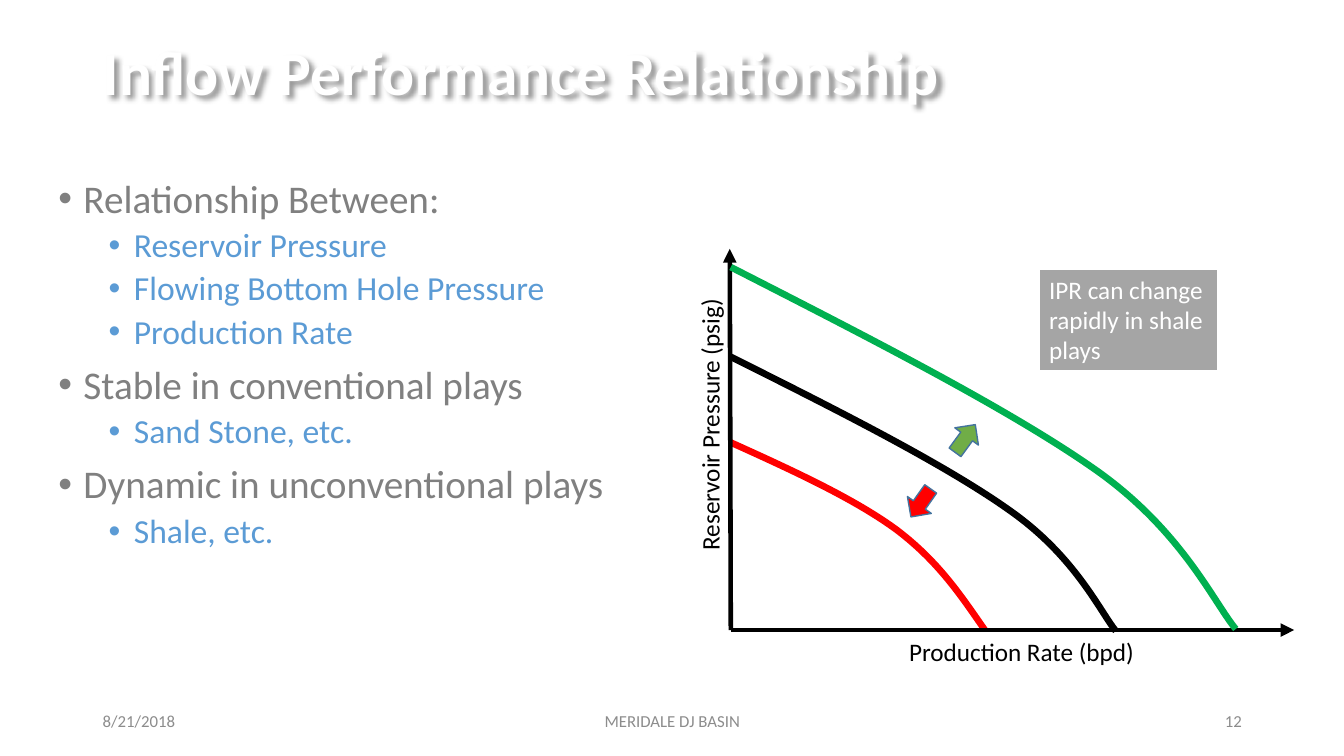
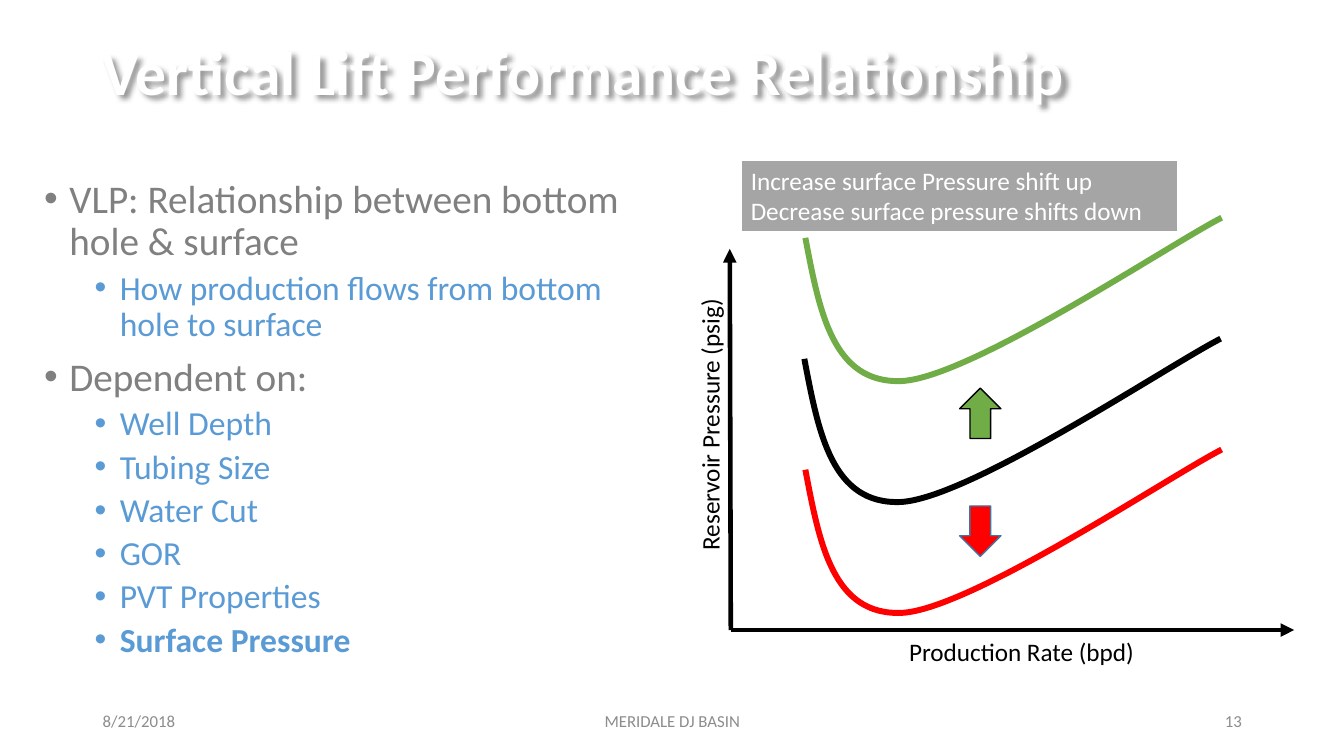
from lxml.etree import SubElement
from pptx import Presentation
from pptx.dml.color import RGBColor
from pptx.enum.shapes import MSO_CONNECTOR, MSO_SHAPE
from pptx.enum.text import MSO_ANCHOR, PP_ALIGN
from pptx.oxml import parse_xml
from pptx.oxml.ns import nsdecls, qn
from pptx.util import Inches, Pt

WHITE = RGBColor(0xFF, 0xFF, 0xFF)
BLACK = RGBColor(0x00, 0x00, 0x00)
GRAY = RGBColor(0x80, 0x80, 0x80)
FOOTER_GRAY = RGBColor(0x8C, 0x8C, 0x8C)
NOTE_GRAY = RGBColor(0xA5, 0xA5, 0xA5)
BLUE = RGBColor(0x5B, 0x9B, 0xD5)
OUTLINE_BLUE = RGBColor(0x43, 0x73, 0x9E)
RED = RGBColor(0xFF, 0x00, 0x00)
GREEN = RGBColor(0x70, 0xAD, 0x47)
BRIGHT_GREEN = RGBColor(0x00, 0xB0, 0x50)

SLIDE_HEIGHT = 7.5
SLIDE_WIDTH = SLIDE_HEIGHT * 16 / 9

TITLE_STYLE = {"size": Pt(44), "bold": True}
FOOTER_STYLE = {"size": Pt(12)}
LABEL_STYLE = {"size": Pt(18)}
LEVELS = [
    {"color": GRAY, "size": 28, "before": 10, "margin": 0.25},
    {"color": BLUE, "size": 24, "before": 5, "margin": 0.75},
]
HANGING = 0.25
LINE_SPACING = 0.9

TITLE_PLACE = (0.92, 0.24, 11.5, 1.01)
FOOTER_TOP, FOOTER_HEIGHT = 6.95, 0.4
ORIGIN = (7.25, 6.25)
AXIS_ENDS = [(7.24, 2.47), (12.84, 6.25)]
AXIS_LABELS = [
    ("Reservoir Pressure (psig)", (5.65, 3.97, 2.78, 0.4), 270),
    ("Production Rate (bpd)", (8.92, 6.26, 2.78, 0.4), 0),
]

LIFT_CURVE = [(7.98, 3.56), (8.12, 4.29), (8.25, 5.01), (8.94, 4.98),
              (9.63, 4.94), (11.6, 3.62), (12.11, 3.36)]
LIFT_SHIFTS = [(0, 0, BLACK), (0.01, -1.2, GREEN), (0.01, 1.1, RED)]

PAGES = [
    {
        "title": "Inflow Performance Relationship",
        "number": "12",
        "body_place": (0.48, 1.73, 5.69, 5.03),
        "body": [
            (0, "Relationship Between:"),
            (1, "Reservoir Pressure"),
            (1, "Flowing Bottom Hole Pressure"),
            (1, "Production Rate"),
            (0, "Stable in conventional plays"),
            (1, "Sand Stone, etc."),
            (0, "Dynamic in unconventional plays"),
            (1, "Shale, etc."),
        ],
        "curve_width": 4.75,
        "curves_under_axes": [
            (BLACK, [(7.25, 3.54), (8.33, 4.08), (9.4, 4.62), (10.04, 5.08),
                     (10.67, 5.53), (10.91, 6.06), (11.07, 6.26)]),
            (RED, [(7.25, 4.39), (7.87, 4.67), (8.48, 4.95), (8.9, 5.26),
                   (9.32, 5.58), (9.54, 5.92), (9.77, 6.25)]),
        ],
        "curves_over_axes": [
            (BRIGHT_GREEN, [(7.25, 2.65), (8.66, 3.37), (10.07, 4.09), (10.91, 4.69),
                            (11.74, 5.29), (12.05, 5.99), (12.26, 6.24)]),
        ],
        "arrows": [
            ((8.99, 4.82, 0.29, 0.34), 35.2, RED, OUTLINE_BLUE),
            ((9.43, 4.18, 0.29, 0.34), 216.2, GREEN, OUTLINE_BLUE),
        ],
        "note_place": (10.31, 2.67, 1.77, 1.01),
        "note": ["IPR can change rapidly in shale plays"],
    },
    {
        "title": "Vertical Lift Performance Relationship",
        "number": "13",
        "body_place": (0.34, 1.73, 6.1, 5.03),
        "body": [
            (0, "VLP: Relationship between bottom hole & surface"),
            (1, "How production flows from bottom hole to surface"),
            (0, "Dependent on:"),
            (1, "Well Depth"),
            (1, "Tubing Size"),
            (1, "Water Cut"),
            (1, "GOR"),
            (1, "PVT Properties"),
            (1, "Surface Pressure"),
        ],
        "bold": "Surface Pressure",
        "curve_width": 4.25,
        "curves_under_axes": [],
        "curves_over_axes": [(color, [(x + right, y + down) for x, y in LIFT_CURVE])
                             for right, down, color in LIFT_SHIFTS],
        "arrows": [
            ((9.52, 5.02, 0.41, 0.5), 0, RED, OUTLINE_BLUE),
            ((9.52, 3.85, 0.41, 0.5), 180, GREEN, BLACK),
        ],
        "note_place": (7.35, 1.59, 4.34, 0.71),
        "note": ["Increase surface Pressure shift up",
                 "Decrease surface pressure shifts down"],
    },
]


def inches(values):
    return [Inches(value) for value in values]


def set_line(line, color, width):
    line.color.rgb = color
    line.width = Pt(width)


def write(para, text, color, style):
    span = para.add_run()
    span.text = text
    for name, value in {"name": "Calibri", **style}.items():
        setattr(span.font, name, value)
    span.font.color.rgb = color


def add_text(page, place, lines, color, style, anchor=MSO_ANCHOR.TOP, align=PP_ALIGN.LEFT):
    box = page.shapes.add_textbox(*inches(place))
    frame = box.text_frame
    frame.word_wrap = True
    frame.vertical_anchor = anchor
    for index, line in enumerate(lines):
        para = frame.add_paragraph() if index else frame.paragraphs[0]
        para.alignment = align
        write(para, line, color, style)
    return box


def add_title(page, text):
    box = add_text(page, TITLE_PLACE, [text], WHITE, TITLE_STYLE, MSO_ANCHOR.MIDDLE)
    box.text_frame.paragraphs[0].line_spacing = LINE_SPACING
    box.element.spPr.append(parse_xml(
        f'<a:effectLst {nsdecls("a")}>'
        '<a:outerShdw blurRad="50800" dist="38100" dir="2700000" algn="tl" rotWithShape="0">'
        '<a:prstClr val="black"><a:alpha val="40000"/></a:prstClr>'
        '</a:outerShdw></a:effectLst>'))


def add_body(page, place, items, bold):
    frame = page.shapes.add_textbox(*inches(place)).text_frame
    frame.word_wrap = True
    for index, (level, text) in enumerate(items):
        para = frame.add_paragraph() if index else frame.paragraphs[0]
        look = LEVELS[level]
        properties = para._p.get_or_add_pPr()
        properties.set("marL", str(Inches(look["margin"])))
        properties.set("indent", str(-Inches(HANGING)))
        SubElement(properties, qn("a:buFont")).set("typeface", "Arial")
        SubElement(properties, qn("a:buChar")).set("char", "•")
        para.level = level
        para.line_spacing = LINE_SPACING
        para.space_before = Pt(look["before"] if index else 0)
        write(para, text, look["color"], {"size": Pt(look["size"]), "bold": text == bold})


def add_footer(page, number):
    cells = [
        (0.92, 3, "8/21/2018", PP_ALIGN.LEFT),
        (4.42, 4.5, "MERIDALE DJ BASIN", PP_ALIGN.CENTER),
        (9.42, 3, number, PP_ALIGN.RIGHT),
    ]
    for left, width, text, align in cells:
        add_text(page, (left, FOOTER_TOP, width, FOOTER_HEIGHT), [text],
                 FOOTER_GRAY, FOOTER_STYLE, MSO_ANCHOR.MIDDLE, align)


def add_axis_labels(page):
    for text, place, rotation in AXIS_LABELS:
        add_text(page, place, [text], BLACK, LABEL_STYLE).rotation = rotation


def add_axes(page):
    for end in AXIS_ENDS:
        axis = page.shapes.add_connector(MSO_CONNECTOR.STRAIGHT, *inches(ORIGIN + end))
        set_line(axis.line, BLACK, 3.25)
        SubElement(axis.line._get_or_add_ln(), qn("a:tailEnd")).set("type", "triangle")
        SubElement(axis._element.spPr, qn("a:effectLst"))


def add_curves(page, curves, width):
    for color, points in curves:
        builder = page.shapes.build_freeform(*inches(points[0]))
        builder.add_line_segments([inches(point) for point in points[3::3]], close=False)
        curve = builder.convert_to_shape()
        for index, segment in enumerate(list(curve._element.iter(qn("a:lnTo")))):
            segment.tag = qn("a:cubicBezTo")
            for child in list(segment):
                segment.remove(child)
            for x, y in points[3 * index + 1:3 * index + 4]:
                point = SubElement(segment, qn("a:pt"))
                point.set("x", str(Inches(x) - curve.left))
                point.set("y", str(Inches(y) - curve.top))
        curve.shadow.inherit = False
        curve.fill.background()
        set_line(curve.line, color, width)


def add_arrow(page, place, rotation, color, outline):
    arrow = page.shapes.add_shape(MSO_SHAPE.DOWN_ARROW, *inches(place))
    arrow.shadow.inherit = False
    arrow.rotation = rotation
    arrow.fill.solid()
    arrow.fill.fore_color.rgb = color
    set_line(arrow.line, outline, 1)


def add_note(page, place, lines):
    note = add_text(page, place, lines, WHITE, LABEL_STYLE)
    note.fill.solid()
    note.fill.fore_color.rgb = NOTE_GRAY
    set_line(note.line, WHITE, 1.5)


def main():
    deck = Presentation()
    deck.slide_width, deck.slide_height = inches((SLIDE_WIDTH, SLIDE_HEIGHT))
    for content in PAGES:
        page = deck.slides.add_slide(deck.slide_layouts[6])
        add_title(page, content["title"])
        add_body(page, content["body_place"], content["body"], content.get("bold"))
        add_footer(page, content["number"])
        add_axis_labels(page)
        add_curves(page, content["curves_under_axes"], content["curve_width"])
        add_axes(page)
        add_curves(page, content["curves_over_axes"], content["curve_width"])
        for arrow in content["arrows"]:
            add_arrow(page, *arrow)
        add_note(page, content["note_place"], content["note"])
    deck.save("out.pptx")


if __name__ == "__main__":
    main()
